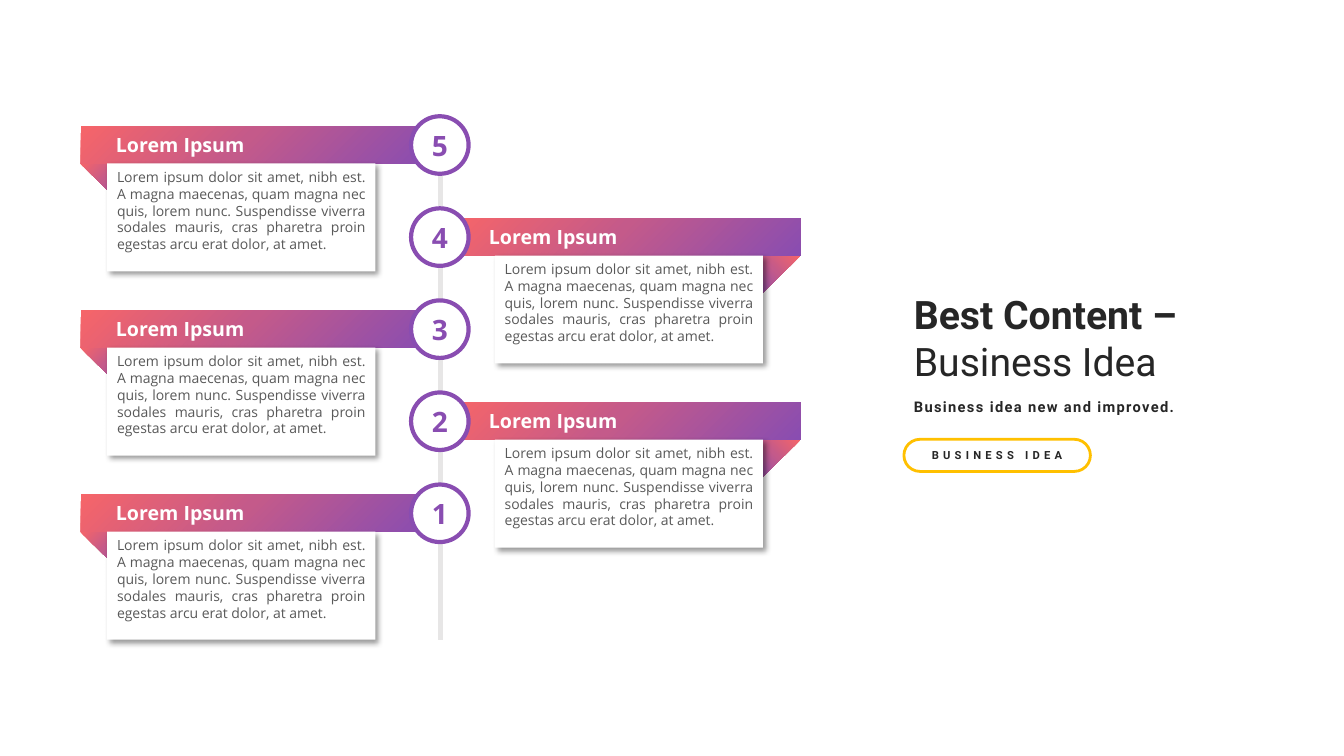
"""Build a slide with a five-step ribbon timeline beside a title block."""
from copy import deepcopy

from lxml.etree import SubElement
from pptx import Presentation
from pptx.dml.color import RGBColor
from pptx.enum.shapes import MSO_CONNECTOR, MSO_SHAPE
from pptx.enum.text import MSO_ANCHOR, MSO_AUTO_SIZE, PP_ALIGN
from pptx.oxml.ns import qn
from pptx.util import Cm, Pt

COLORS = {
    "white": "FFFFFF", "ink": "262626", "body": "595959", "rail": "E7E6E6",
    "coral": "F66569", "rose": "C45A8A", "purple": "894DB1",
    "gold": "FFC000", "black": "000000",
}
RIBBON_STOPS = [(0, "coral"), (0.47, "rose"), (1, "purple")]
HEADING = "Lorem Ipsum"
BODY = ("Lorem ipsum dolor sit amet, nibh est. A magna maecenas, quam magna nec "
        "quis, lorem nunc. Suspendisse viverra sodales mauris, cras pharetra "
        "proin egestas arcu erat dolor, at amet.")
FIRST_TOP, STEP_PITCH = 2.93, 2.32
LEFT_SIDE = {"banner": 2.03, "fold": 2.03, "card": 2.7, "flip": True}
RIGHT_SIDE = {"banner": 11.43, "fold": 19.08, "card": 12.47, "flip": False}


def color(name):
    return RGBColor.from_string(COLORS[name])


class Painter:
    """Hold the page and the style, with a method for each kind of element."""

    def __init__(self, page):
        self.page = page

    def fill_text(self, box, lines, size, ink, font, bold=(True,), align=PP_ALIGN.LEFT,
                  anchor=MSO_ANCHOR.TOP, spacing=0):
        frame = box.text_frame
        frame.word_wrap = True
        frame.vertical_anchor = anchor
        for index, (line, weight) in enumerate(zip(lines, bold)):
            para = frame.add_paragraph() if index else frame.paragraphs[0]
            para.alignment = align
            span = para.add_run()
            span.text = line
            para.font.name = font
            para.font.size = Pt(size)
            para.font.bold = weight
            para.font.color.rgb = color(ink)
            if spacing:
                span.font._element.set("spc", str(spacing * 100))

    def text(self, left, top, width, height, lines, **style):
        box = self.page.shapes.add_textbox(Cm(left), Cm(top), Cm(width), Cm(height))
        self.fill_text(box, lines, **style)
        box.text_frame.auto_size = MSO_AUTO_SIZE.SHAPE_TO_FIT_TEXT

    def shape(self, kind, left, top, width, height, fill=None, line=None, weight=3):
        box = self.page.shapes.add_shape(kind, Cm(left), Cm(top), Cm(width), Cm(height))
        box.shadow.inherit = False
        if fill:
            box.fill.solid()
            box.fill.fore_color.rgb = color(fill)
        else:
            box.fill.background()
        if line:
            box.line.color.rgb = color(line)
            box.line.width = Pt(weight)
        else:
            box.line.fill.background()
        return box

    def ribbon(self, kind, left, top, width, height):
        box = self.shape(kind, left, top, width, height)
        box.fill.gradient()
        box.fill.gradient_angle = 315
        stop_list = box._element.spPr.find(".//" + qn("a:gsLst"))
        stop_list.insert(1, deepcopy(stop_list[0]))
        for stop, (position, name) in zip(box.fill.gradient_stops, RIBBON_STOPS):
            stop.position = position
            stop.color.rgb = color(name)
        return box

    def fold(self, left, top, flip):
        box = self.ribbon(MSO_SHAPE.RIGHT_TRIANGLE, left, top, 1.09, 1.12)
        box.rotation = 90
        if flip:
            box._element.spPr.find(qn("a:xfrm")).set("flipV", "1")

    def banner(self, left, top):
        box = self.ribbon(MSO_SHAPE.RECTANGLE, left, top, 8.74, 0.94)
        box.text_frame.margin_left = Cm(0.89)
        self.fill_text(box, [HEADING], 14, "white", "Open Sans", anchor=MSO_ANCHOR.MIDDLE)

    def badge(self, left, top, number):
        box = self.shape(MSO_SHAPE.OVAL, left, top, 1.45, 1.45, "white", "purple")
        self.fill_text(box, [str(number)], 20, "purple", "Open Sans",
                       align=PP_ALIGN.CENTER, anchor=MSO_ANCHOR.MIDDLE)

    def card(self, left, top):
        box = self.shape(MSO_SHAPE.RECTANGLE, left, top, 6.76, 2.72, "white")
        effects = box._element.spPr.find(qn("a:effectLst"))
        shadow = SubElement(effects, qn("a:outerShdw"), blurRad=str(Pt(4)),
                            dist=str(Pt(3)), dir="2700000", algn="tl", rotWithShape="0")
        tint = SubElement(shadow, qn("a:srgbClr"), val=COLORS["black"])
        SubElement(tint, qn("a:alpha"), val="40000")
        self.fill_text(box, [BODY], 10, "body", "Open Sans", bold=[False],
                       align=PP_ALIGN.JUSTIFY)

    def rail(self, x, top, bottom):
        line = self.page.shapes.add_connector(
            MSO_CONNECTOR.STRAIGHT, Cm(x), Cm(top), Cm(x), Cm(bottom))
        line.line.color.rgb = color("rail")
        line.line.width = Pt(3)
        SubElement(line._element.spPr, qn("a:effectLst"))

    def pill(self, left, top, width, height, label):
        box = self.shape(MSO_SHAPE.ROUNDED_RECTANGLE, left, top, width, height,
                         line="gold", weight=2)
        box.adjustments[0] = 0.5
        self.fill_text(box, [label], 8, "ink", "Roboto", align=PP_ALIGN.CENTER,
                       anchor=MSO_ANCHOR.MIDDLE, spacing=3)

    def step(self, number, top, side):
        self.fold(side["fold"], top + 1.17, side["flip"])
        self.banner(side["banner"], top + 0.25)
        self.badge(10.36, top, number)
        self.card(side["card"], top + 1.19)


def main():
    deck = Presentation()
    deck.slide_width, deck.slide_height = Cm(33.87), Cm(19.05)
    painter = Painter(deck.slides.add_slide(deck.slide_layouts[6]))

    painter.text(22.78, 7.19, 7.85, 2.64, ["Best Content –", "Business Idea"],
                 size=28, ink="ink", font="Roboto", bold=[True, False])
    painter.text(22.78, 9.9, 7.85, 0.74, ["Business idea new and improved."],
                 size=10.5, ink="ink", font="Roboto", spacing=1)
    painter.pill(22.78, 11.07, 4.7, 0.81, "BUSINESS IDEA")

    painter.rail(11.1, 2.92, 16.13)
    for index in range(5):
        side = RIGHT_SIDE if index % 2 else LEFT_SIDE
        painter.step(5 - index, FIRST_TOP + index * STEP_PITCH, side)
    deck.save("out.pptx")


if __name__ == "__main__":
    main()
